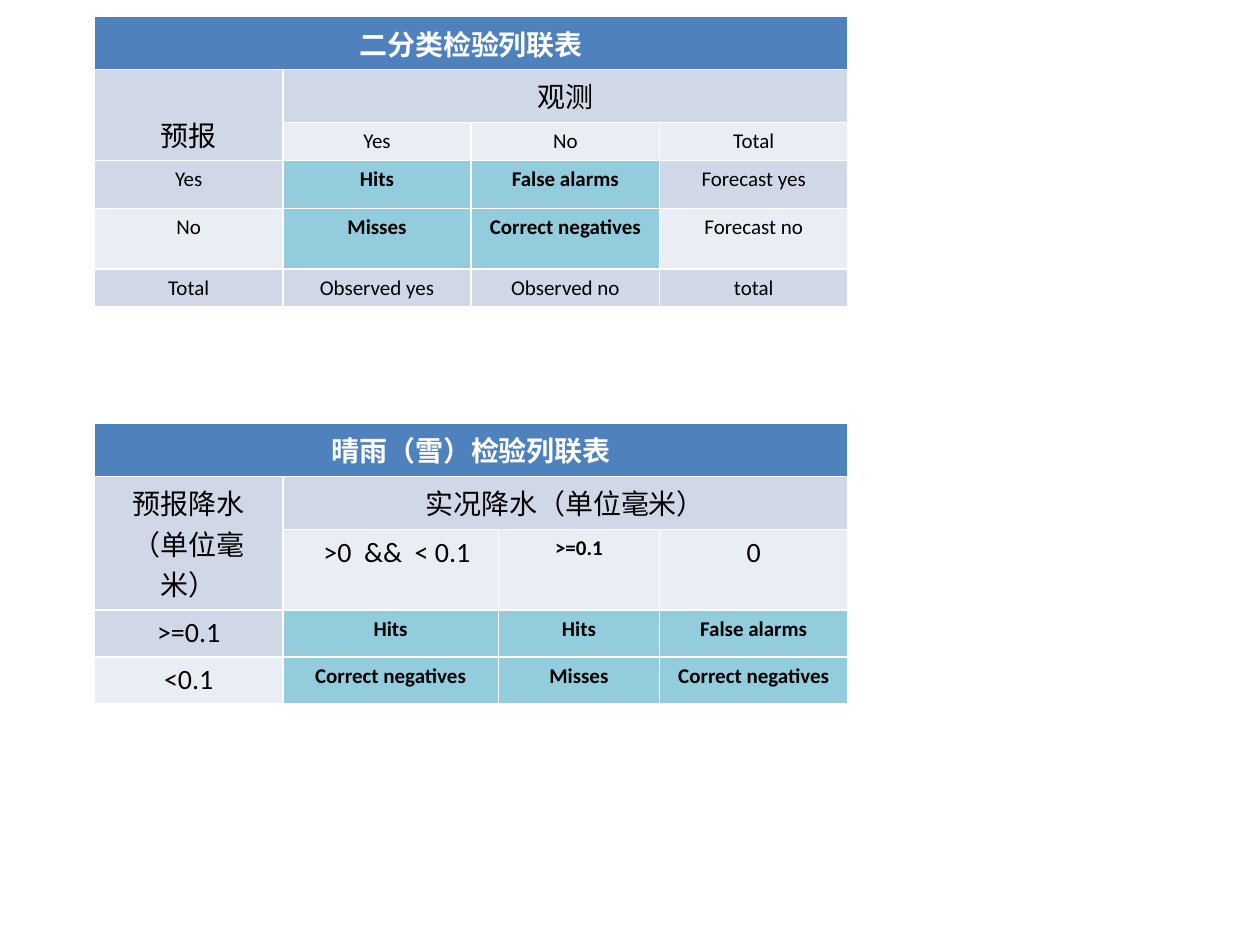
from dataclasses import dataclass

from lxml.etree import SubElement
from pptx import Presentation
from pptx.dml.color import RGBColor
from pptx.enum.text import MSO_ANCHOR, PP_ALIGN
from pptx.oxml.ns import qn
from pptx.util import Inches, Pt


@dataclass(frozen=True)
class Theme:
    header: str = "4F81BD"
    bands: tuple = ("E9EDF4", "D0D8E8")
    outcome: str = "93CDDD"
    light: str = "FFFFFF"
    dark: str = "000000"
    latin: str = "Calibri"
    asian: str = "Noto Sans CJK SC"
    large: int = 16
    small: int = 12


THEME = Theme()
WIDTH, HEIGHT = 10, 7.5
LEFT, TABLE_WIDTH = 0.075 * WIDTH, 0.598 * WIDTH
OUTCOMES = {"Hits", "Misses", "False alarms", "Correct negatives"}
MERGES = [(0, 0, 0, 3), (1, 0, 2, 0), (1, 1, 1, 3)]

BINARY = [
    ["二分类检验列联表", None, None, None],
    ["预报", "观测", None, None],
    [None, "Yes", "No", "Total"],
    ["Yes", "Hits", "False alarms", "Forecast yes"],
    ["No", "Misses", "Correct negatives", "Forecast no"],
    ["Total", "Observed yes", "Observed no", "total"],
]
RAIN = [
    ["晴雨（雪）检验列联表", None, None, None],
    ["预报降水\n（单位毫米）", "实况降水（单位毫米）", None, None],
    [None, ">0  &&  < 0.1", ">=0.1", "0"],
    [">=0.1", "Hits", "Hits", "False alarms"],
    ["<0.1", "Correct negatives", "Misses", "Correct negatives"],
]


def add_run(p, text, size, bold, color):
    r = p.add_run()
    r.text = text
    r.font.name = THEME.latin
    r.font.size = Pt(size)
    r.font.bold = bold
    r.font.color.rgb = RGBColor.from_string(color)
    SubElement(r.font._element, qn("a:ea"), typeface=THEME.asian)


def fill_cell(cell, text, fill, size, bold, color):
    cell.fill.solid()
    cell.fill.fore_color.rgb = RGBColor.from_string(fill)
    tf = cell.text_frame
    for i, line in enumerate(text.split("\n")):
        p = tf.add_paragraph() if i else tf.paragraphs[0]
        p.alignment = PP_ALIGN.CENTER
        add_run(p, line, size, bold, color)


def add_contingency(s, top, rows, col_shares, row_heights, body_size, strong=()):
    frame = s.shapes.add_table(
        len(rows), len(col_shares), Inches(LEFT), Inches(top),
        Inches(TABLE_WIDTH), Inches(sum(row_heights)))
    table = frame.table
    for col, share in zip(table.columns, col_shares):
        col.width = Inches(TABLE_WIDTH * share)
    for row, height in zip(table.rows, row_heights):
        row.height = Inches(height)
    for r1, c1, r2, c2 in MERGES:
        table.cell(r1, c1).merge(table.cell(r2, c2))
    for i, texts in enumerate(rows):
        for j, text in enumerate(texts):
            if text is None:
                continue
            outcome = text in OUTCOMES
            bold = i == 0 or outcome or (i, j) in strong
            fill = THEME.outcome if outcome else THEME.bands[i % 2]
            size = THEME.small if bold else body_size
            color = THEME.dark
            if i == 0:
                fill, color = THEME.header, THEME.light
            if i < 2:
                size = THEME.large
            fill_cell(table.cell(i, j), text, fill, size, bold, color)
    return table


def main():
    prs = Presentation()
    prs.slide_width, prs.slide_height = Inches(WIDTH), Inches(HEIGHT)
    s = prs.slides.add_slide(prs.slide_layouts[6])
    binary = add_contingency(
        s, 0.13, BINARY, [0.25] * 4,
        [0.35, 0.35, 0.29, 0.38, 0.48, 0.29], THEME.small)
    binary.cell(1, 0).vertical_anchor = MSO_ANCHOR.BOTTOM
    rain = add_contingency(
        s, 0.448 * HEIGHT, RAIN, [0.25, 0.286, 0.214, 0.25],
        [0.3] + [0.34] * 4, THEME.large, strong={(2, 2)})
    rain.cell(2, 1).margin_left = Inches(0.2)
    prs.save("out.pptx")


main()
